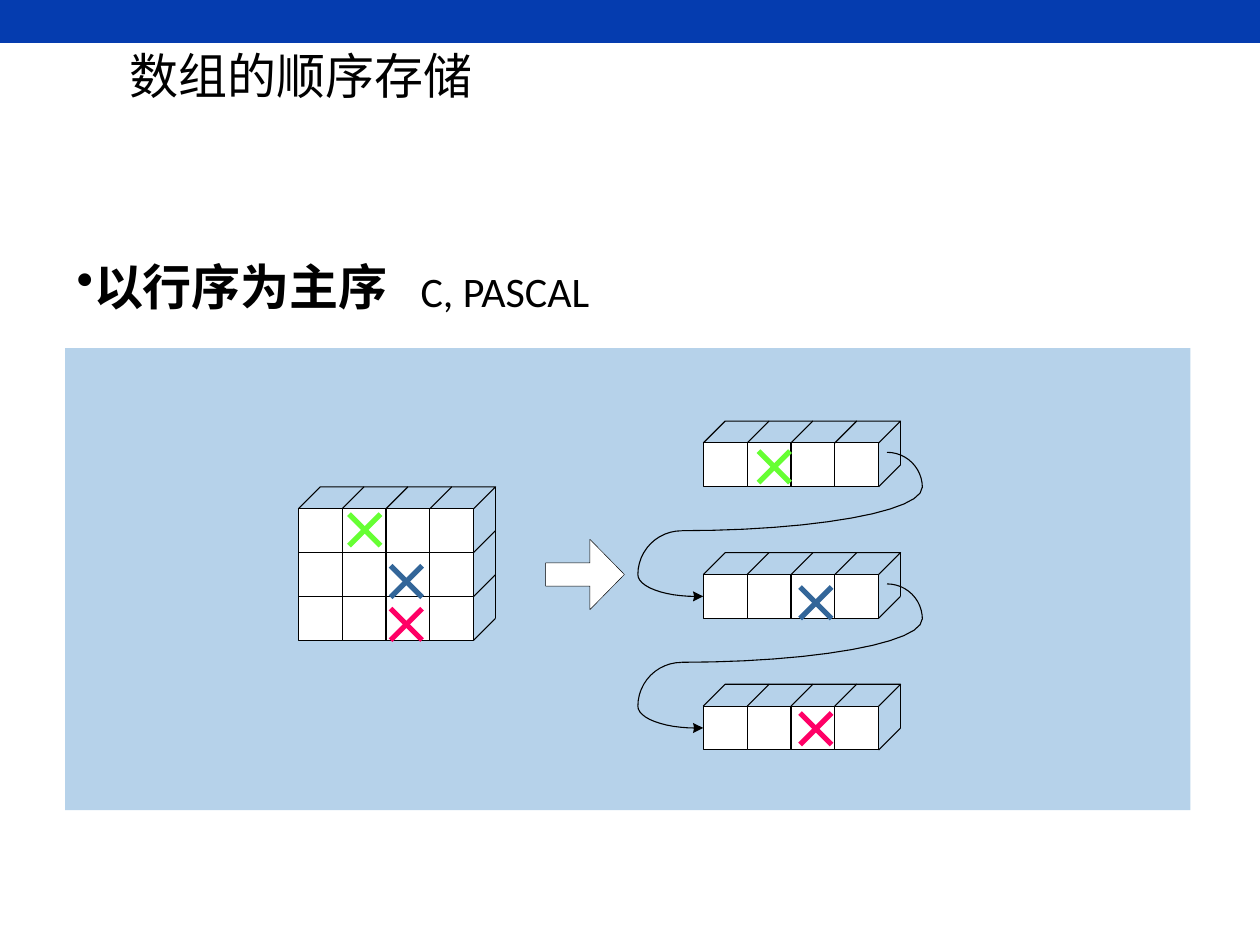
"""Build a slide on storing an array sequentially in row-major order."""
import math

import lxml.etree
import pptx
import pptx.dml.color
import pptx.enum.shapes
import pptx.enum.text
import pptx.oxml.ns
import pptx.util

Pt = pptx.util.Pt
SHAPES = pptx.enum.shapes.MSO_SHAPE
COLOURS = {"bar": "053CAF", "panel": "B6D2EA", "white": "FFFFFF", "black": "000000",
           "green": "66FF33", "blue": "336699", "pink": "FF0066"}
THIN = 0.63
CELL, DEPTH, COLUMNS = 25.05, 12.5, 4
ROW_LEFT, ROW_TOP, ROW_STEP = 401.9, 253.1, 75.2


def arc(centre_x, centre_y, radius_x, radius_y, start, end, steps=12):
    """Return points along an elliptical arc, with angles in degrees."""
    angles = [math.radians(start + (end - start) * step / steps) for step in range(steps + 1)]
    return [(centre_x + radius_x * math.cos(angle), centre_y + radius_y * math.sin(angle))
            for angle in angles]


class SlidePainter:
    """Hold the text style and the slide being drawn."""

    def __init__(self, slide, font="Calibri"):
        self.slide = slide
        self.font = font

    def colour(self, name):
        return pptx.dml.color.RGBColor.from_string(COLOURS[name])

    def finish(self, shape, fill=None, line=None, width=THIN):
        shape.shadow.inherit = False
        if fill:
            shape.fill.solid()
            shape.fill.fore_color.rgb = self.colour(fill)
        else:
            shape.fill.background()
        if line:
            shape.line.color.rgb = self.colour(line)
            shape.line.width = Pt(width)
        else:
            shape.line.fill.background()

    def shape(self, kind, left, top, width, height, fill, line=None, line_width=THIN):
        shape = self.slide.shapes.add_shape(kind, Pt(left), Pt(top), Pt(width), Pt(height))
        self.finish(shape, fill, line, line_width)
        return shape

    def outline(self, points, fill=None, line=None):
        start, *rest = [(Pt(x), Pt(y)) for x, y in points]
        builder = self.slide.shapes.build_freeform(*start)
        builder.add_line_segments(rest, close=fill is not None)
        self.finish(builder.convert_to_shape(), fill, line)

    def line(self, start, end, colour="black", width=THIN):
        connector = self.slide.shapes.add_connector(
            pptx.enum.shapes.MSO_CONNECTOR.STRAIGHT, *[Pt(value) for value in (*start, *end)])
        connector.line.color.rgb = self.colour(colour)
        connector.line.width = Pt(width)
        lxml.etree.SubElement(connector._element.spPr, pptx.oxml.ns.qn("a:effectLst"))

    def add_text(self, paragraph, text, size, bold=False):
        paragraph.alignment = pptx.enum.text.PP_ALIGN.LEFT
        run = paragraph.add_run()
        run.text = text
        run.font.name = self.font
        run.font.size = Pt(size)
        run.font.bold = bold
        run.font.color.rgb = self.colour("black")

    def title(self, text, left, top, width, height):
        shape = self.slide.shapes.title
        shape.left, shape.top, shape.width, shape.height = map(Pt, (left, top, width, height))
        frame = shape.text_frame
        frame.auto_size = pptx.enum.text.MSO_AUTO_SIZE.NONE
        frame.vertical_anchor = pptx.enum.text.MSO_ANCHOR.MIDDLE
        self.add_text(frame.paragraphs[0], text, 28)

    def label(self, text, left, top, width, height, size, bold=False, bullet=None):
        shape = self.slide.shapes.add_textbox(Pt(left), Pt(top), Pt(width), Pt(height))
        frame = shape.text_frame
        frame.word_wrap = False
        frame.auto_size = pptx.enum.text.MSO_AUTO_SIZE.SHAPE_TO_FIT_TEXT
        paragraph = frame.paragraphs[0]
        self.add_text(paragraph, text, size, bold)
        if bullet:
            properties = paragraph._p.get_or_add_pPr()
            lxml.etree.SubElement(properties, pptx.oxml.ns.qn("a:buChar"), char=bullet)

    def block(self, left, top, rows):
        right = left + COLUMNS * CELL
        for column in range(COLUMNS):
            x = left + column * CELL
            for row in range(rows):
                self.shape(SHAPES.RECTANGLE, x, top + row * CELL, CELL, CELL, "white", "black")
            lid = [(x, top), (x + DEPTH, top - DEPTH), (x + DEPTH + CELL, top - DEPTH)]
            if column == COLUMNS - 1:
                lid.append((right, top))
            self.outline(lid, line="black")
        for row in range(rows):
            bottom = top + (row + 1) * CELL
            corner = (right + DEPTH, bottom - DEPTH)
            self.line((right + DEPTH, bottom - DEPTH - CELL), corner)
            self.line((right, bottom), corner)

    def row_link(self, top):
        bend, next_top = top + 25.5, top + ROW_STEP
        sweep = arc(506.9, bend, 20.2, 20.1, -90, 0) + arc(389.5, bend, 137.5, 24.7, 0, 90)
        hook = (arc(389.5, next_top, 25, 25, -90, -180)
                + arc(397.4, next_top, 32.9, 12.5, 180, 90))
        tip = next_top + DEPTH
        self.outline(sweep, line="black")
        self.outline(hook, line="black")
        self.outline([(ROW_LEFT, tip), (396, tip + 2.9), (396.7, tip), (396, tip - 2.9)],
                     fill="black")

    def cross(self, left, top, colour, size=18):
        right, bottom = left + size, top + size
        self.line((right, top), (left, bottom), colour, 3)
        self.line((left, top), (right, bottom), colour, 3)


def main():
    """Draw the slide and save it."""
    presentation = pptx.Presentation()
    presentation.slide_width, presentation.slide_height = Pt(720), Pt(540)
    painter = SlidePainter(presentation.slides.add_slide(presentation.slide_layouts[5]))

    painter.shape(SHAPES.RECTANGLE, 0, 0, 720, 24.5, "bar")
    painter.title("数组的顺序存储", 67, 22.5, 419, 41)
    painter.label("以行序为主序", 36.7, 143.3, 193, 41, 28, bold=True, bullet="•")
    painter.label("C, PASCAL", 233.3, 148.3, 134.6, 36, 24)
    painter.shape(SHAPES.RECTANGLE, 37.3, 199, 643, 264, "panel")

    painter.block(170.5, 290.7, 3)
    row_tops = [ROW_TOP + row * ROW_STEP for row in range(3)]
    for top in row_tops:
        painter.block(ROW_LEFT, top, 1)
    arrow = painter.shape(SHAPES.RIGHT_ARROW, 311.8, 308.2, 45, 40.2, "white", "black", 0.25)
    arrow.adjustments[0], arrow.adjustments[1] = 0.33, 0.49
    for top in row_tops[:-1]:
        painter.row_link(top)

    for colour, *places in (("pink", (223.2, 347.8), (457.2, 407.5)),
                            ("green", (199.4, 293.8), (433.4, 257.8)),
                            ("blue", (223.2, 323.3), (457.2, 335.5))):
        for left, top in places:
            painter.cross(left, top, colour)

    presentation.save("out.pptx")


if __name__ == "__main__":
    main()
